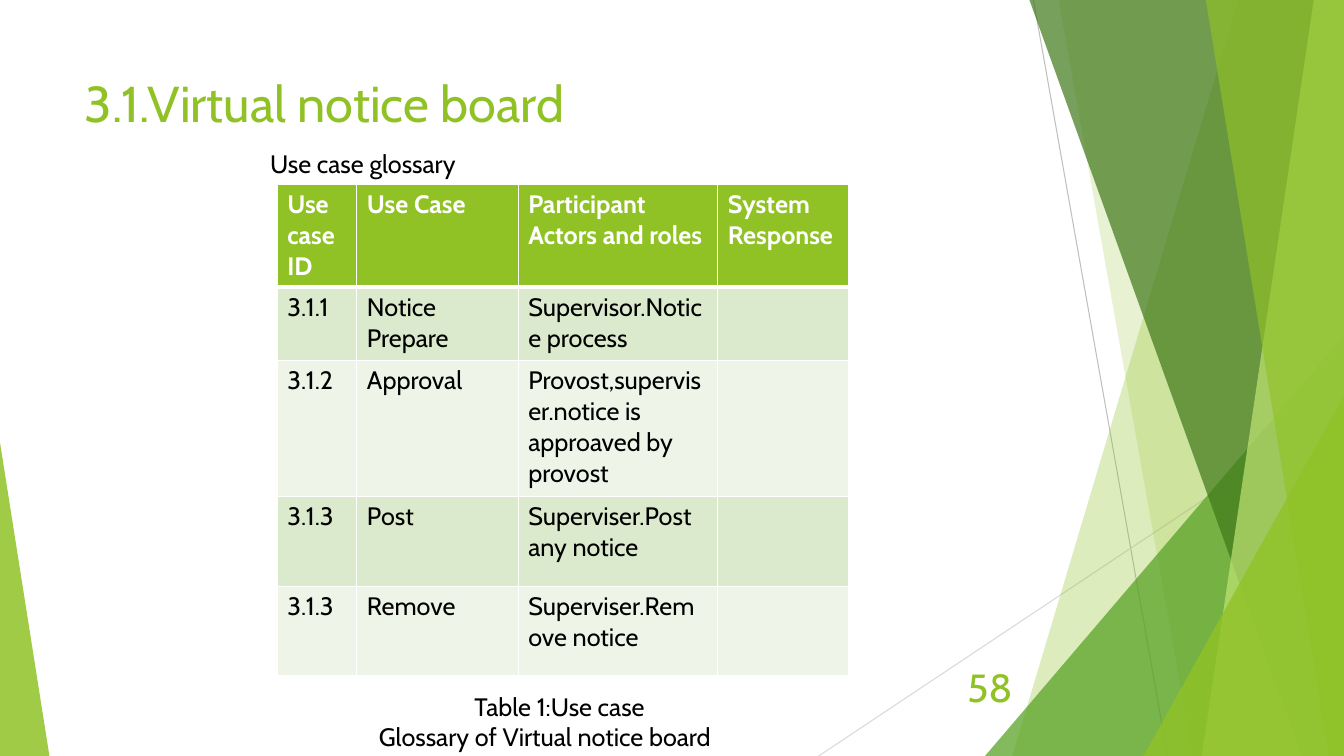
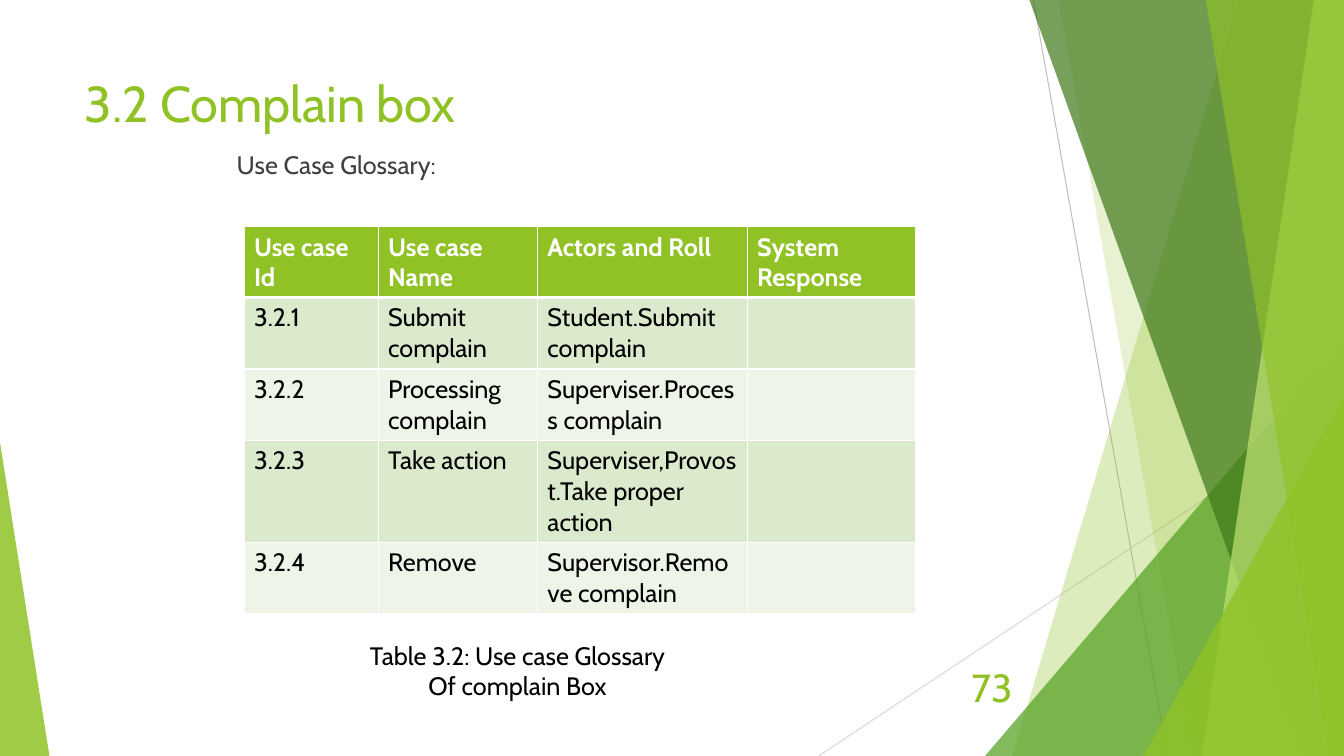
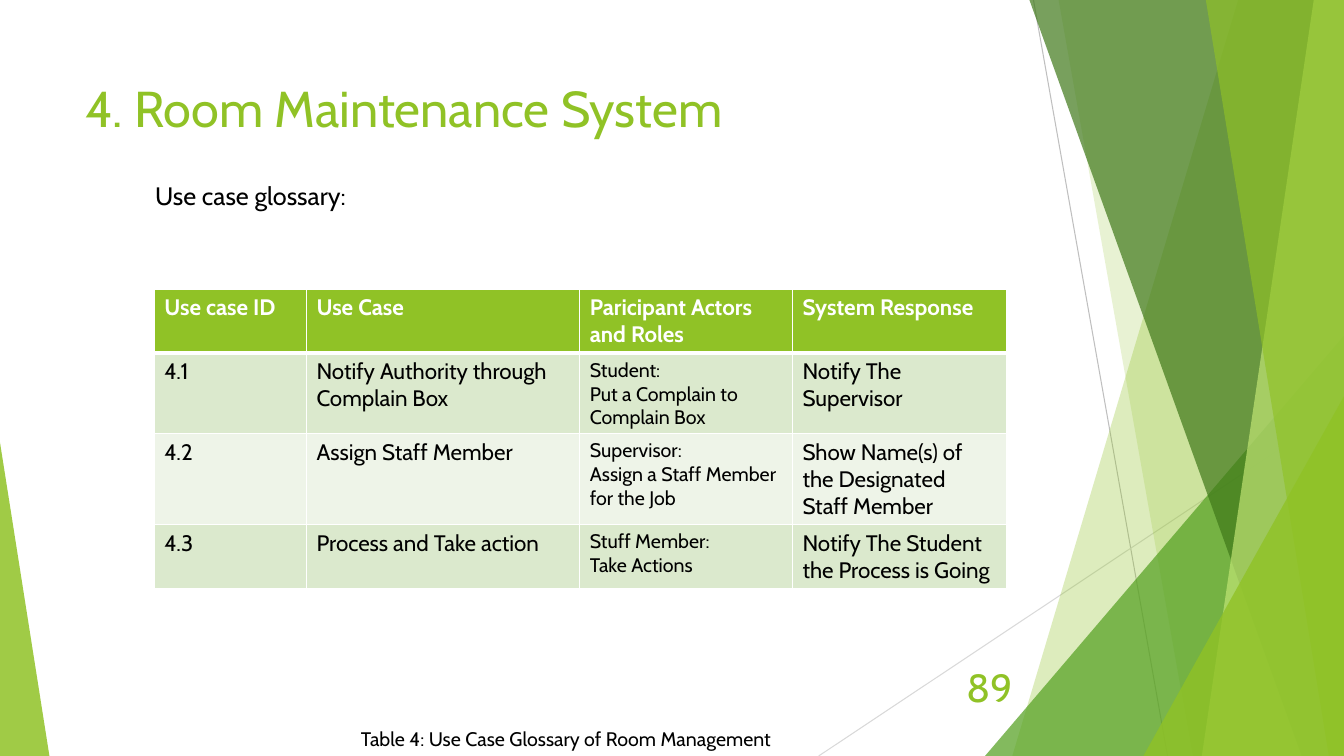
from dataclasses import dataclass

from lxml import etree
from pptx import Presentation
from pptx import util as u
from pptx.dml.color import RGBColor
from pptx.enum import shapes, text
from pptx.oxml.ns import qn


@dataclass(frozen=True)
class Theme:
    font: str = "Cabin"
    lime: str = "90C226"
    green: str = "54A021"
    forest: str = "3F7819"
    pale: str = "C0E474"
    white: str = "FFFFFF"
    black: str = "000000"
    charcoal: str = "404040"
    grey: str = "BFBFBF"
    light_grey: str = "D9D9D9"
    stripes: tuple = ("DBE9CD", "EEF4E8")
    title: int = 36
    number: int = 28
    body: int = 18
    compact: int = 16
    small: int = 14
    width: float = 13.33
    height: float = 7.5


CENTER = text.PP_ALIGN.CENTER
RIGHT = text.PP_ALIGN.RIGHT
LEFT = text.PP_ALIGN.LEFT


def apply(target, formats):
    for name, value in formats.items():
        setattr(target, name, value)


class Deck:
    def __init__(self, theme):
        self.theme = theme
        self.show = Presentation()
        apply(self.show, {"slide_width": u.Inches(theme.width),
                          "slide_height": u.Inches(theme.height)})

    def new_slide(self, title, number, title_at=(0.74, 0.67)):
        t = self.theme
        self.slide = self.show.slides.add_slide(self.show.slide_layouts[6])
        self.backdrop()
        self.label((*title_at, 9.4, 1.44), [title], t.title, t.lime, wrap=True)
        self.label((9.39, 6.61, 0.75, 0.4), [number], t.number, t.lime, [RIGHT],
                   wrap=True, anchor=text.MSO_ANCHOR.MIDDLE)

    def backdrop(self):
        t = self.theme
        self.line((10.25, 0), (11.58, t.height), t.grey)
        self.line((t.width, 4.03), (8.12, t.height), t.light_grey)
        self.band(12.28, 10.04, t.lime, 30)
        self.band(10.5, 11.83, t.lime, 20)
        self.wedge(9.77, 3.33, 3.56, 1, t.green, 72)
        self.band(10.21, 12.91, t.forest, 70)
        self.band(13.03, 11.92, t.pale, 70)
        self.band(11.96, 13.18, t.lime, 65)
        self.wedge(11.34, 3.93, 1.99, 1, t.lime, 80)
        self.wedge(0, 4.39, 0.49, 0, t.lime, 85)

    def line(self, start, end, color):
        rule = self.slide.shapes.add_connector(
            shapes.MSO_CONNECTOR.STRAIGHT, *map(u.Inches, start + end))
        rule.line.color.rgb = RGBColor.from_string(color)
        rule.line.width = u.Pt(0.75)
        etree.SubElement(rule.element.spPr, qn("a:effectLst"))

    def band(self, top_x, bottom_x, color, opacity):
        right, bottom = self.theme.width, self.theme.height
        corners = [(right, 0), (right, bottom), (bottom_x, bottom)]
        outline = self.slide.shapes.build_freeform(u.Inches(top_x), 0)
        outline.add_line_segments(
            [(u.Inches(x), u.Inches(y)) for x, y in corners], close=True)
        self.tint(outline.convert_to_shape(), color, opacity)

    def wedge(self, left, top, width, apex, color, opacity):
        box = (left, top, width, self.theme.height - top)
        triangle = self.slide.shapes.add_shape(
            shapes.MSO_SHAPE.ISOSCELES_TRIANGLE, *map(u.Inches, box))
        triangle.adjustments[0] = apex
        self.tint(triangle, color, opacity)

    def tint(self, shape, color, opacity):
        shape.shadow.inherit = False
        shape.line.fill.background()
        shape.fill.solid()
        shape.fill.fore_color.rgb = RGBColor.from_string(color)
        shade = shape.element.spPr.find(qn("a:solidFill"))[0]
        etree.SubElement(shade, qn("a:alpha"), val=str(opacity * 1000))

    def set_lines(self, frame, lines, size, color, bold=False, aligns=(LEFT,)):
        frame.text = "\n".join(lines)
        for index, paragraph in enumerate(frame.paragraphs):
            paragraph.alignment = aligns[index % len(aligns)]
            apply(paragraph.font, {"name": self.theme.font, "size": u.Pt(size),
                                   "bold": bold})
            paragraph.font.color.rgb = RGBColor.from_string(color)

    def label(self, box, lines, size, color, aligns=(LEFT,), wrap=False,
              anchor=text.MSO_ANCHOR.TOP):
        frame = self.slide.shapes.add_textbox(*map(u.Inches, box)).text_frame
        fit = text.MSO_AUTO_SIZE.NONE if wrap else text.MSO_AUTO_SIZE.SHAPE_TO_FIT_TEXT
        apply(frame, {"word_wrap": wrap, "vertical_anchor": anchor, "auto_size": fit})
        self.set_lines(frame, lines, size, color, aligns=aligns)

    def table(self, at, widths, heights, rows, size, column_sizes=None):
        t = self.theme
        box = (*at, sum(widths), sum(heights))
        grid = self.slide.shapes.add_table(
            len(rows), len(widths), *map(u.Inches, box)).table
        for column, width in zip(grid.columns, widths):
            column.width = u.Inches(width)
        for row, height in zip(grid.rows, heights):
            row.height = u.Inches(height)
        for r, values in enumerate(rows):
            header = r == 0
            fill = t.lime if header else t.stripes[(r - 1) % 2]
            color = t.white if header else t.black
            for c, value in enumerate(values):
                cell = grid.cell(r, c)
                self.borders(cell, top=3 if r == 1 else 1, bottom=3 if header else 1)
                cell.fill.solid()
                cell.fill.fore_color.rgb = RGBColor.from_string(fill)
                cell_size = size if header else (column_sizes or {}).get(c, size)
                self.set_lines(cell.text_frame, value.split("\n"), cell_size, color, header)

    def borders(self, cell, top, bottom):
        properties = cell._tc.get_or_add_tcPr()
        for side, points in {"L": 1, "R": 1, "T": top, "B": bottom}.items():
            edge = etree.SubElement(properties, qn(f"a:ln{side}"), w=str(int(u.Pt(points))))
            paint = etree.SubElement(edge, qn("a:solidFill"))
            etree.SubElement(paint, qn("a:srgbClr"), val=self.theme.white)


def notice_board(deck):
    t = deck.theme
    deck.new_slide("3.1.Virtual notice board", "58")
    deck.table((2.75, 1.83), [0.79, 1.6, 1.98, 1.3], [0.96, 0.73, 1.35, 0.89, 0.89], [
        ["Use case ID", "Use Case", "Participant Actors and roles", "System Response"],
        ["3.1.1", "Notice Prepare", "Supervisor.Notice process", ""],
        ["3.1.2", "Approval", "Provost,superviser.notice is approaved by provost", ""],
        ["3.1.3", "Post", "Superviser.Post any notice", ""],
        ["3.1.3", "Remove", "Superviser.Remove notice", ""],
    ], t.body)
    deck.label((2.58, 1.42, 2.15, 0.4), ["Use case glossary"], t.body, t.black)
    deck.label((3.66, 6.81, 3.78, 0.71),
               ["Table 1:Use case", "Glossary of Virtual notice board"],
               t.body, t.black, [CENTER, LEFT], wrap=True)


def complain_box(deck):
    t = deck.theme
    deck.new_slide("3.2 Complain box", "73")
    deck.label((2.25, 1.43, 2.4, 0.4), ["Use Case Glossary:"], t.body, t.charcoal)
    deck.table((2.42, 2.25), [1.33, 1.58, 2.08, 1.67], [0.7, 0.71, 0.71, 1.01, 0.71], [
        ["Use case Id", "Use case Name", "Actors and Roll", "System Response"],
        ["3.2.1", "Submit complain", "Student.Submit\ncomplain", ""],
        ["3.2.2", "Processing complain", "Superviser.Process complain", ""],
        ["3.2.3", "Take action", "Superviser,Provost.Take proper action", ""],
        ["3.2.4", "Remove", "Supervisor.Remove complain", ""],
    ], t.body)
    deck.label((3.57, 6.3, 3.49, 0.71),
               ["Table 3.2: Use case Glossary", "Of complain Box"],
               t.body, t.black, [LEFT, CENTER])


def room_maintenance(deck):
    t = deck.theme
    deck.new_slide("4. Room Maintenance System", "89", (0.75, 0.72))
    deck.label((1.44, 1.74, 2.24, 0.4), ["Use case glossary:"], t.body, t.black)
    deck.table((1.53, 2.87), [1.51, 2.71, 2.11, 2.12], [0.62, 0.8, 0.9, 0.63], [
        ["Use case ID", "Use Case", "Paricipant Actors and Roles", "System Response"],
        ["4.1", "Notify Authority through Complain Box",
         "Student:\nPut a Complain to Complain Box", "Notify The Supervisor"],
        ["4.2", "Assign Staff Member",
         "Supervisor:\nAssign a Staff Member for the Job",
         "Show Name(s) of the Designated Staff Member"],
        ["4.3", "Process and Take action", "Stuff Member:\nTake Actions",
         "Notify The Student the Process is Going"],
    ], t.compact, {2: t.small})
    deck.label((3.48, 7.16, 4.64, 0.34),
               ["Table 4: Use Case Glossary of Room Management"],
               t.small, t.black, wrap=True)


def main():
    deck = Deck(Theme())
    for build in (notice_board, complain_box, room_maintenance):
        build(deck)
    deck.show.save("out.pptx")


if __name__ == "__main__":
    main()
